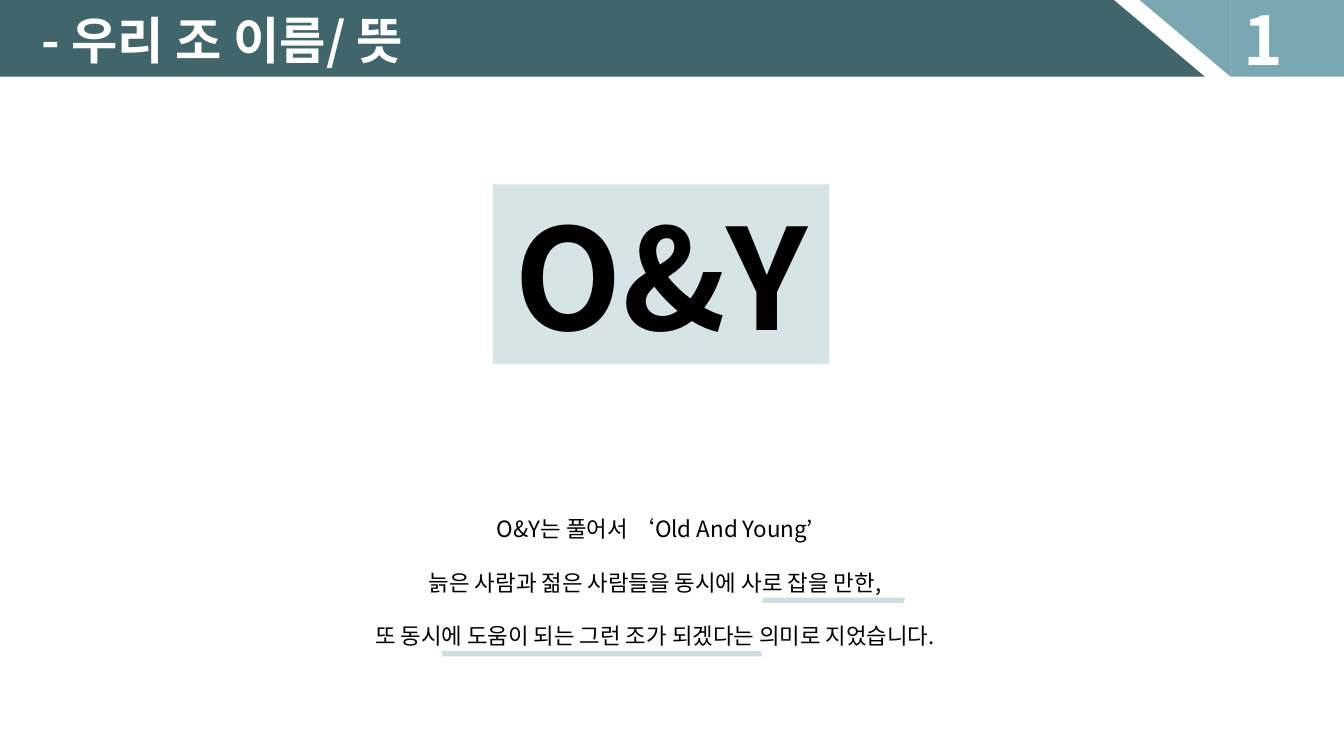
import pptx
import pptx.util
import pptx.dml.color
import pptx.enum.shapes
import pptx.enum.text
import pptx.oxml.ns
import lxml.etree

Cm, Pt = pptx.util.Cm, pptx.util.Pt
SHAPE = pptx.enum.shapes.MSO_SHAPE
ALIGN = pptx.enum.text.PP_ALIGN
qn = pptx.oxml.ns.qn

# Content
heading = "- 우리 조 이름/ 뜻"
page_number = "1"
team_name = "O&Y"
meaning = [
    "O&Y는 풀어서 ‘Old And Young’",
    "늙은 사람과 젊은 사람들을 동시에 사로 잡을 만한,",
    "또 동시에 도움이 되는 그런 조가 되겠다는 의미로 지었습니다.",
]

FONT = "Noto Sans CJK KR"
COLORS = {"dark": "40656B", "light": "79A8B2", "white": "FFFFFF", "black": "000000"}

# Layout in centimetres
SLIDE_W, SLIDE_H = 33.87, 19.05
BAR_H = 1.93
SLANT_W = 2.29
DARK_W = 28.07
LIGHT_X = 31.01
LINE_PT = 19.2
# left, top, width, flipped
underlines = [(11.13, 16.41, 8.08, True), (19.2, 15.06, 3.61, False)]
UNDERLINE_H = 0.13


def rgb(name):
    return pptx.dml.color.RGBColor.from_string(COLORS[name])


def add_block(kind, left, top, width, height, color, opacity=100):
    block = slide.shapes.add_shape(kind, Cm(left), Cm(top), Cm(width), Cm(height))
    block.shadow.inherit = False
    block.line.fill.background()
    block.fill.solid()
    block.fill.fore_color.rgb = rgb(color)
    if opacity < 100:
        srgb = block.fill._xPr.find(".//" + qn("a:srgbClr"))
        lxml.etree.SubElement(srgb, qn("a:alpha")).set("val", str(opacity * 1000))
    return block


def write(holder, lines, size, color, bold=False, align=ALIGN.CENTER):
    frame = holder.text_frame
    frame.text = "\n".join(lines)
    frame.word_wrap = False
    frame.margin_top = frame.margin_bottom = 0
    frame.vertical_anchor = pptx.enum.text.MSO_ANCHOR.MIDDLE
    for paragraph in frame.paragraphs:
        paragraph.alignment = align
        for run in paragraph.runs:
            run.font.size = Pt(size)
            run.font.bold = bold
            run.font.name = FONT
            run.font.color.rgb = rgb(color)
            east_asian = lxml.etree.SubElement(run.font._element, qn("a:ea"))
            east_asian.set("typeface", FONT)
    return frame


def add_text(left, top, width, height, *style, **options):
    box = slide.shapes.add_textbox(Cm(left), Cm(top), Cm(width), Cm(height))
    return write(box, *style, **options)


deck = pptx.Presentation()
deck.slide_width, deck.slide_height = Cm(SLIDE_W), Cm(SLIDE_H)
slide = deck.slides.add_slide(deck.slide_layouts[6])

# Header band with its slanted gap
add_block(SHAPE.RECTANGLE, 0, 0, DARK_W, BAR_H, "dark")
dark_slant = add_block(SHAPE.ISOSCELES_TRIANGLE, DARK_W, 0, SLANT_W, BAR_H, "dark")
add_block(SHAPE.RECTANGLE, LIGHT_X, 0, SLIDE_W - LIGHT_X, BAR_H, "light")
light_slant = add_block(SHAPE.ISOSCELES_TRIANGLE, LIGHT_X - SLANT_W, 0, SLANT_W, BAR_H, "light")
light_slant.rotation = 180
for slant in (dark_slant, light_slant):
    slant.adjustments[0] = 0
add_text(31.09, -0.18, 1.47, 2.31, [page_number], 48, "white", bold=True)
add_text(0.79, 0.08, 11.1, 1.8, [heading], 36, "white", bold=True, align=ALIGN.LEFT)

# Underlines behind the key phrases
for left, top, width, flipped in underlines:
    underline = add_block(SHAPE.PARALLELOGRAM, left, top, width, UNDERLINE_H, "light", 36)
    if flipped:
        underline._element.spPr.find(qn("a:xfrm")).set("flipV", "1")

# Meaning of the name, one empty line's height between lines
meaning_frame = add_text(8.33, 12.83, 16.36, 3.68, meaning, 16, "black")
for index, paragraph in enumerate(meaning_frame.paragraphs):
    paragraph.line_spacing = Pt(LINE_PT)
    paragraph.space_before = Pt(LINE_PT if index else 0)

# Team name
name_panel = add_block(SHAPE.RECTANGLE, 12.42, 4.65, 8.48, 4.52, "light", 30)
write(name_panel, [team_name], 100, "black", bold=True)

deck.save("out.pptx")
